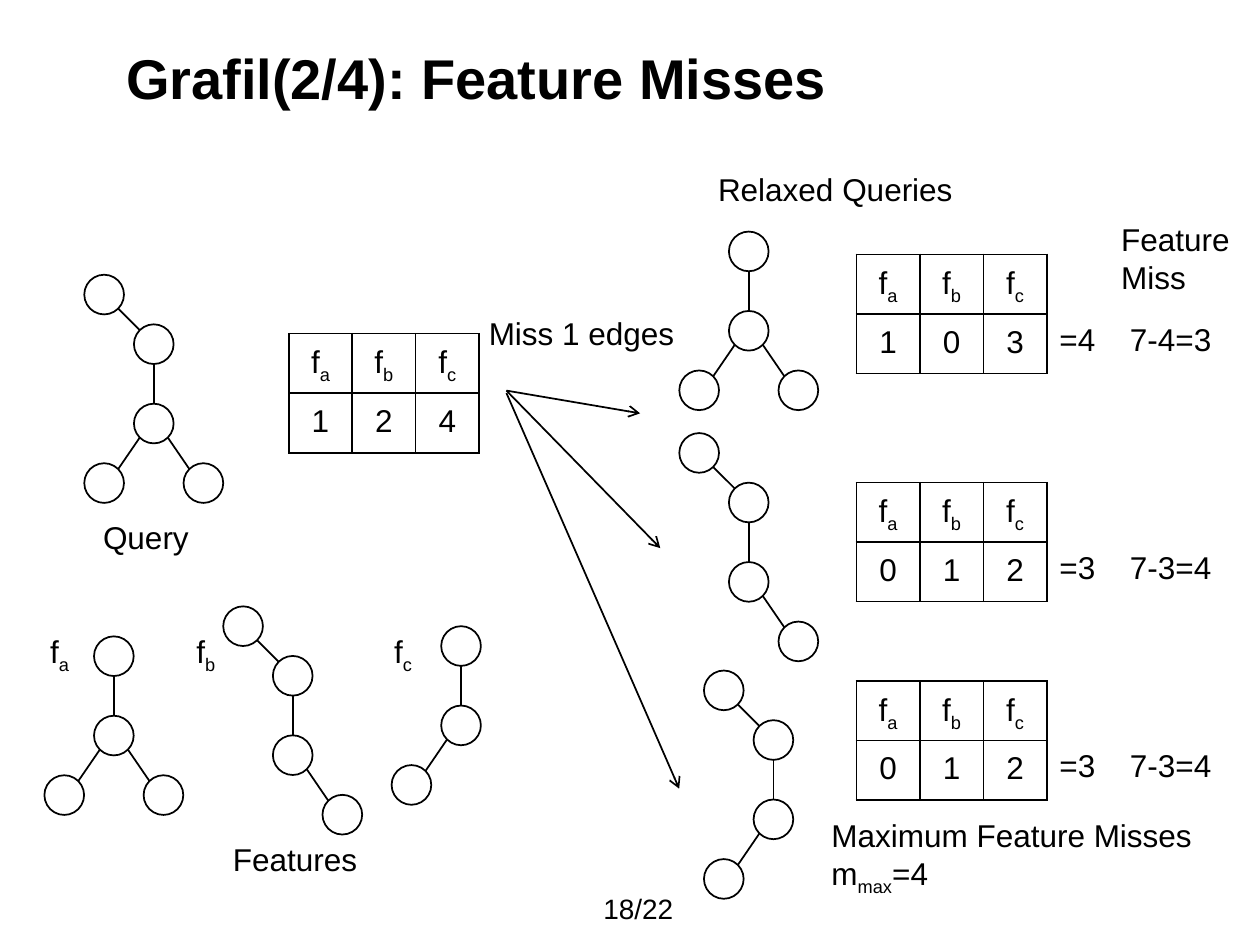
from dataclasses import dataclass

from lxml import etree
from pptx import Presentation
from pptx import util as u
from pptx.dml.color import RGBColor
from pptx.enum import shapes, text
from pptx.oxml import ns


@dataclass(frozen=True)
class Theme:
    font: str = "Arial"
    ink: RGBColor = RGBColor(0, 0, 0)
    title: int = 32
    body: int = 18
    footer: int = 16
    line: int = 1


# Graph geometry in points, relative to the full query's top-left corner.
NODE = 22.68
NODES = {"tip": (0, 0), "elbow": (28.35, 28.35), "hub": (28.35, 73.7),
         "left": (0, 107.72), "right": (56.7, 107.72)}
# Each edge joins two nodes, leaving the first in the given direction.
EDGES = [("tip", "elbow", 1, 1), ("elbow", "hub", 0, 1),
         ("hub", "left", -1, 1), ("hub", "right", 1, 1)]
COLUMN, ROW = 36.28, 34.02
FEATURES = ["f{a}", "f{b}", "f{c}"]


def write(frame, content, theme, size=None, bold=False, align=None, spacing=None):
    """Fill a text frame: newline parts paragraphs, \\v breaks a line, {x} is subscript."""
    for number, line in enumerate(content.split("\n")):
        paragraph = frame.paragraphs[0] if number == 0 else frame.add_paragraph()
        paragraph.alignment, paragraph.line_spacing = align, spacing
        for index, part in enumerate(line.replace("}", "{").split("{")):
            for row, words in enumerate(part.split("\v")):
                if row:
                    paragraph.add_line_break()
                if not words:
                    continue
                run = paragraph.add_run()
                run.text = words
                font = run.font
                font.name, font.size, font.bold = theme.font, u.Pt(size or theme.body), bold
                font.color.rgb = theme.ink
                if index % 2:
                    run._r.get_or_add_rPr().set("baseline", "-25000")


class SlideBuilder:
    def __init__(self, slide, theme):
        self.slide, self.theme = slide, theme

    def title(self, content, left, top, width, height):
        heading = self.slide.shapes.title
        heading.left, heading.top = u.Pt(left), u.Pt(top)
        heading.width, heading.height = u.Pt(width), u.Pt(height)
        heading.text_frame.vertical_anchor = text.MSO_ANCHOR.MIDDLE
        write(heading.text_frame, content, self.theme, size=self.theme.title,
              bold=True, align=text.PP_ALIGN.LEFT)

    def label(self, content, left, top, width, height=28.8):
        box = self.slide.shapes.add_textbox(*map(u.Pt, (left, top, width, height)))
        box.text_frame.word_wrap = False
        box.text_frame.auto_size = text.MSO_AUTO_SIZE.SHAPE_TO_FIT_TEXT
        write(box.text_frame, content, self.theme)

    def page_number(self, content, left, top, width, height):
        box = self.slide.shapes.add_textbox(*map(u.Pt, (left, top, width, height)))
        box.text_frame.word_wrap = True
        box.text_frame.vertical_anchor = text.MSO_ANCHOR.MIDDLE
        write(box.text_frame, content, self.theme, size=self.theme.footer)

    def line(self, start, end, arrow=False):
        connector = self.slide.shapes.add_connector(
            shapes.MSO_CONNECTOR.STRAIGHT, *map(u.Pt, (*start, *end)))
        connector.line.color.rgb = self.theme.ink
        connector.line.width = u.Pt(self.theme.line)
        if arrow:
            etree.SubElement(connector.line._get_or_add_ln(), ns.qn("a:tailEnd"), type="arrow")
        etree.SubElement(connector._element.spPr, ns.qn("a:effectLst"))

    def node(self, left, top):
        circle = self.slide.shapes.add_shape(
            shapes.MSO_SHAPE.OVAL, *map(u.Pt, (left, top, NODE, NODE)))
        circle.shadow.inherit = False
        circle.fill.background()
        circle.line.color.rgb = self.theme.ink
        circle.line.width = u.Pt(self.theme.line)

    def graph(self, left, top, names):
        """Draw the named nodes of the query and every edge between them."""
        places = {name: (left + NODES[name][0], top + NODES[name][1])
                  for name in names.split()}
        for place in places.values():
            self.node(*place)
        for first, second, dx, dy in EDGES:
            if first in places and second in places:
                reach = NODE / 2 / (dx * dx + dy * dy) ** 0.5
                start = [p + NODE / 2 + d * reach for p, d in zip(places[first], (dx, dy))]
                end = [p + NODE / 2 - d * reach for p, d in zip(places[second], (dx, dy))]
                self.line(start, end)

    def border(self, cell):
        properties = cell._tc.get_or_add_tcPr()
        for index, side in enumerate(("lnL", "lnR", "lnT", "lnB")):
            edge = etree.Element(ns.qn(f"a:{side}"), w=str(u.Pt(self.theme.line)))
            fill = etree.SubElement(edge, ns.qn("a:solidFill"))
            etree.SubElement(fill, ns.qn("a:srgbClr"), val=str(self.theme.ink))
            properties.insert(index, edge)

    def count_table(self, left, top, counts):
        rows = [FEATURES, counts]
        table = self.slide.shapes.add_table(
            2, 3, *map(u.Pt, (left, top, 3 * COLUMN, 2 * ROW))).table
        table.first_row = table.horz_banding = False
        for column in table.columns:
            column.width = u.Pt(COLUMN)
        for row, values in enumerate(rows):
            table.rows[row].height = u.Pt(ROW)
            for column, value in enumerate(values):
                cell = table.cell(row, column)
                cell.fill.background()
                cell.margin_left = cell.margin_right = 0
                cell.vertical_anchor = text.MSO_ANCHOR.MIDDLE
                write(cell.text_frame, value, self.theme,
                      align=text.PP_ALIGN.CENTER, spacing=0.9)
                self.border(cell)


def main():
    deck = Presentation()
    deck.slide_width, deck.slide_height = u.Pt(720), u.Pt(540)
    page = SlideBuilder(deck.slides.add_slide(deck.slide_layouts[5]), Theme())

    page.title("Grafil(2/4): Feature Misses", 64.8, 20.9, 596.9, 46.1)

    page.graph(48.2, 157, "tip elbow hub left right")
    page.label("Query", 51.8, 292.3, 64.1)
    page.count_table(165, 190.7, "124")

    features = [(25.4, 335.3, "elbow hub left right", 21.6),
                (127.6, 346.5, "tip elbow hub right", 105.1),
                (223.8, 329.5, "elbow hub left", 218.2)]
    for name, (left, top, nodes, label_left) in zip(FEATURES, features):
        page.graph(left, top, nodes)
        page.label(name, label_left, 357.8, 25.9)
    page.label("Features", 126, 476.6, 86.4)

    page.label("Miss 1 edges", 272.2, 175.7, 121.7)
    for start_y, end in [(223.2, (365.8, 236.2)), (223.2, (377.3, 313.2)),
                         (224.6, (388.1, 450.7))]:
        page.line((289.4, start_y), end, arrow=True)

    page.label("Relaxed Queries", 403.2, 93.6, 149.8)
    relaxed_queries = [(388.2, 104, "elbow hub left right", 145.4, "103"),
                       (388.2, 247.5, "tip elbow hub right", 275.8, "012"),
                       (402.3, 383.2, "tip elbow hub left", 389.1, "012")]
    total = 7
    for left, top, nodes, table_top, counts in relaxed_queries:
        page.graph(left, top, nodes)
        page.count_table(489.4, table_top, counts)
        kept = sum(map(int, counts))
        page.label(f"={kept}", 598.3, table_top + 33.7, 35.3)
        page.label(f"{total}-{kept}={total - kept}", 638.6, table_top + 33.7, 61.2)
    page.label("Feature\vMiss", 633.6, 122.4, 77, 51.1)
    page.label("Maximum Feature Misses\nm{max}=4", 468, 463, 222.5, 51.1)

    page.page_number("18/22", 337.7, 508.3, 61.9, 20.9)
    deck.save("out.pptx")


if __name__ == "__main__":
    main()
